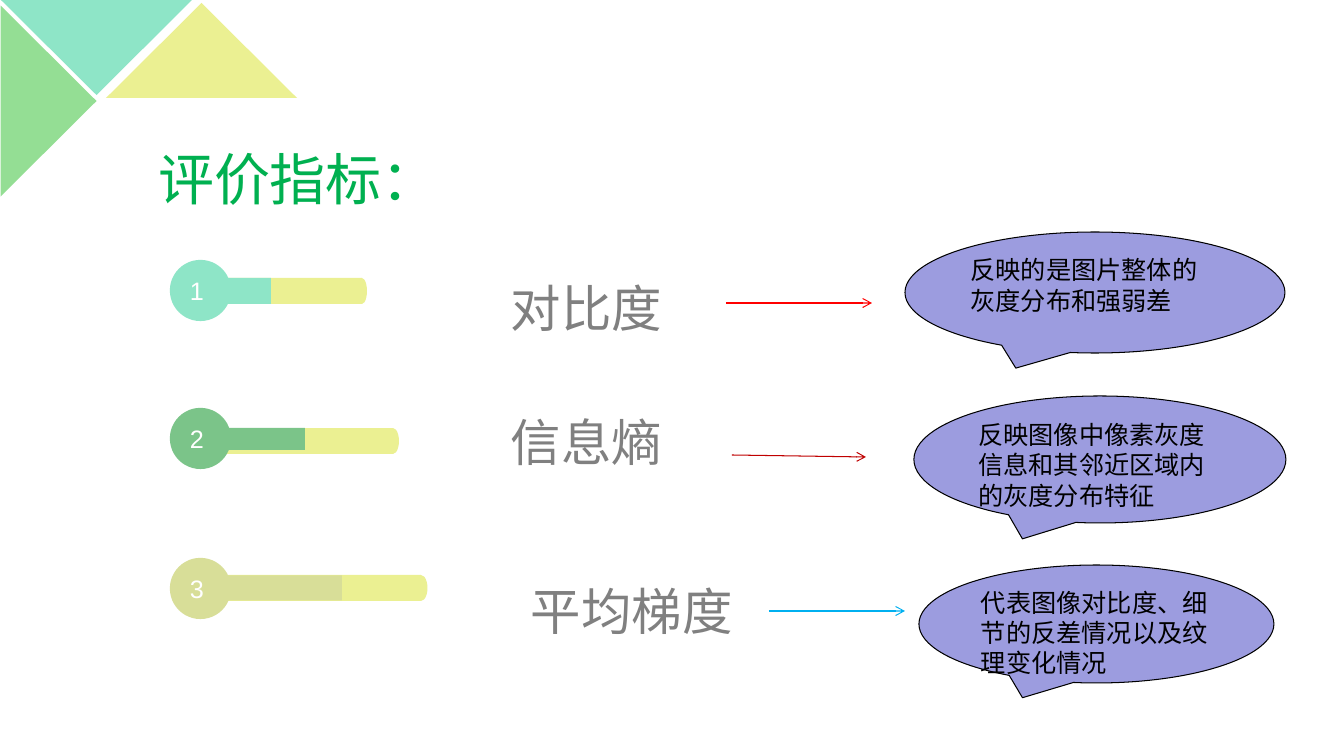
import pptx
import pptx.util
import pptx.dml.color
import pptx.enum.shapes
import pptx.enum.text
import pptx.oxml.ns
from lxml import etree

COLORS = {
    "mint": "8EE5C7", "leaf": "94DE94", "lemon": "EBF092", "green": "7BC489",
    "olive": "D8DE98", "title": "00B050", "label": "808080", "callout": "9C9CDF",
    "red": "FF0000", "dark_red": "C00000", "blue": "00B0F0",
    "black": "000000", "white": "FFFFFF",
}
TITLE = ("评价指标：", (148, 139, 1096, 93))
# box in px, rotation, colour
TRIANGLES = [
    ((-47, 53, 191, 96), 90, "leaf"),
    ((1, 0, 191, 95), 180, "mint"),
    ((106, 3, 191, 95), 0, "lemon"),
]
# bar: left, right, centre y, cap width; progress: left, right, centre y, height
INDICATORS = [
    dict(color="mint", bar=(183, 362, 291, 10), progress=(199, 271, 291, 26), badge_y=262,
         label="对比度", label_at=(501, 262), arrow=(726, 303, 872, 303), arrow_color="red",
         note="反映的是图片整体的灰度分布和强弱差", callout=(905, 232, 380, 121)),
    dict(color="green", bar=(184, 393, 441, 12), progress=(229, 305, 439, 22), badge_y=410,
         label="信息熵", label_at=(501, 396), arrow=(732, 455, 866, 457), arrow_color="dark_red",
         note="反映图像中像素灰度信息和其邻近区域内的灰度分布特征", callout=(914, 396, 372, 127)),
    dict(color="olive", bar=(184, 421, 588, 13), progress=(204, 342, 588, 25), badge_y=560,
         label="平均梯度", label_at=(521, 565), arrow=(769, 611, 905, 611), arrow_color="blue",
         note="代表图像对比度、细节的反差情况以及纹理变化情况", callout=(919, 565, 355, 118)),
]
BAR_H, BADGE_X, BADGE_SIZE = 26, 172, 57
LABEL_SIZE = (554, 91)

SHAPE = pptx.enum.shapes.MSO_SHAPE
ALIGN = pptx.enum.text.PP_ALIGN
ANCHOR = pptx.enum.text.MSO_ANCHOR


def px(n):
    return pptx.util.Emu(round(n * 914400 / 100.8))


def rgb(name):
    return pptx.dml.color.RGBColor.from_string(COLORS[name])


def add_shape(s, kind, box, fill, line=None, line_pt=0.75):
    sp = s.shapes.add_shape(kind, *map(px, box))
    sp.shadow.inherit = False
    sp.fill.solid()
    sp.fill.fore_color.rgb = rgb(fill)
    if line:
        sp.line.color.rgb = rgb(line)
        sp.line.width = pptx.util.Pt(line_pt)
    else:
        sp.line.fill.background()
    return sp


def write(sp, text, size, color, align=ALIGN.LEFT, anchor=ANCHOR.TOP):
    tf = sp.text_frame
    tf.word_wrap = True
    tf.auto_size = pptx.enum.text.MSO_AUTO_SIZE.NONE
    tf.vertical_anchor = anchor
    p = tf.paragraphs[0]
    p.alignment = align
    r = p.add_run()
    r.text = text
    r.font.name = "Arial"
    r.font.size = pptx.util.Pt(size)
    r.font.color.rgb = rgb(color)
    return tf


def add_arrow(s, ends, color):
    c = s.shapes.add_connector(pptx.enum.shapes.MSO_CONNECTOR.STRAIGHT, *map(px, ends))
    c.line.color.rgb = rgb(color)
    c.line.width = pptx.util.Pt(0.75)
    qn = pptx.oxml.ns.qn
    etree.SubElement(c.line._get_or_add_ln(), qn("a:tailEnd"), type="arrow")
    etree.SubElement(c._element.spPr, qn("a:effectLst"))


def add_gauge(s, item):
    """Draw a bar with a rounded end, its progress and its numbered badge."""
    left, right, mid, cap = item["bar"]
    top = mid - BAR_H / 2
    add_shape(s, SHAPE.RECTANGLE, (left, top, right - left, BAR_H), "lemon")
    add_shape(s, SHAPE.OVAL, (right - cap / 2, top, cap, BAR_H), "lemon")
    left, right, mid, height = item["progress"]
    add_shape(s, SHAPE.RECTANGLE, (left, mid - height / 2, right - left, height), item["color"])
    return add_shape(s, SHAPE.OVAL, (BADGE_X, item["badge_y"], BADGE_SIZE, BADGE_SIZE),
                     item["color"], item["color"], 3)


def main():
    prs = pptx.Presentation()
    prs.slide_width, prs.slide_height = px(1344), px(756)
    s = prs.slides.add_slide(prs.slide_layouts[5])

    for box, rotation, color in TRIANGLES:
        add_shape(s, SHAPE.ISOSCELES_TRIANGLE, box, color).rotation = rotation

    text, box = TITLE
    title = s.shapes.title
    title.left, title.top, title.width, title.height = map(px, box)
    write(title, text, 40, "title")

    for number, item in enumerate(INDICATORS, 1):
        badge = add_gauge(s, item)
        tf = write(badge, str(number), 18, "white", ALIGN.CENTER, ANCHOR.MIDDLE)
        tf.margin_left = tf.margin_top = tf.margin_bottom = 0
        tf.margin_right = px(7)
        label = s.shapes.add_textbox(*map(px, item["label_at"] + LABEL_SIZE))
        write(label, item["label"], 36, "label", anchor=ANCHOR.MIDDLE)
        add_arrow(s, item["arrow"], item["arrow_color"])
        callout = add_shape(s, SHAPE.OVAL_CALLOUT, item["callout"], "callout", "black")
        write(callout, item["note"], 18, "black")

    prs.save("out.pptx")


if __name__ == "__main__":
    main()
